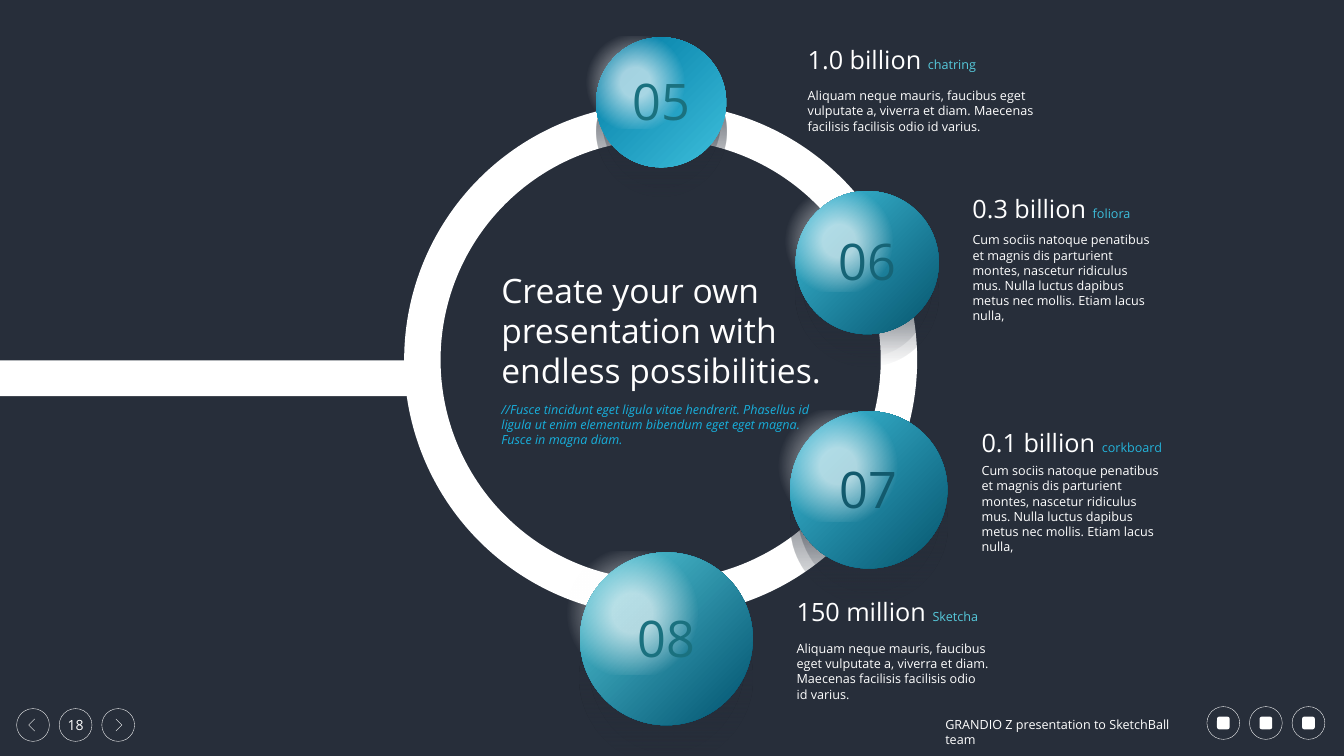
from lxml import etree
from pptx import Presentation
from pptx.dml.color import RGBColor
from pptx.enum import shapes, text
from pptx.oxml import ns
from pptx.util import Inches, Pt

FONT = "Open Sans"
NAVY = RGBColor(0x27, 0x2E, 0x3A)
WHITE = RGBColor(0xFF, 0xFF, 0xFF)
OCEAN = RGBColor(0x00, 0x7A, 0xA3)
SKY = RGBColor(0x3D, 0xBE, 0xDB)
AQUA = RGBColor(0x56, 0xCA, 0xDC)
AZURE = RGBColor(0x24, 0xB3, 0xDA)
BLUE = RGBColor(0x18, 0xAE, 0xDA)
DEEP = RGBColor(0x06, 0x54, 0x6D)
ABYSS = RGBColor(0x00, 0x51, 0x6D)
TEAL = RGBColor(0x1A, 0x71, 0x7F)
TEAL_MID = RGBColor(0x16, 0x64, 0x76)
TEAL_DARK = RGBColor(0x12, 0x5A, 0x6D)

OVAL = shapes.MSO_SHAPE.OVAL
ROUNDED = shapes.MSO_SHAPE.ROUNDED_RECTANGLE
TOP = text.MSO_ANCHOR.TOP
MIDDLE = text.MSO_ANCHOR.MIDDLE

LINEAR = '<a:lin ang="5400000" scaled="0"/>'
FROM_CORNER = '<a:path path="circle"><a:fillToRect r="100000" b="100000"/></a:path>'
FROM_CENTRE = ('<a:path path="circle"><a:fillToRect l="50000" t="50000" '
               'r="50000" b="50000"/></a:path>')
SHADE = [(0, NAVY, 17), (42, NAVY, 55), (100, NAVY, 0)]
SHINE = [(18, WHITE, 62), (59, WHITE, 0)]

RED_LATIN = "Aliquam neque mauris, faucibus eget vulputate a, viverra et diam. Maecenas facilisis facilisis odio id varius."
CUM_LATIN = "Cum sociis natoque penatibus et magnis dis parturient montes, nascetur ridiculus mus. Nulla luctus dapibus metus nec mollis. Etiam lacus nulla,"

ORBS = [
    ("05", 11.83, 0.74, 2.58, OCEAN, SKY, TEAL),
    ("06", 15.79, 3.79, 2.84, SKY, DEEP, TEAL_MID),
    ("07", 15.68, 8.16, 3.12, SKY, DEEP, TEAL_DARK),
    ("08", 11.51, 10.96, 3.43, AQUA, ABYSS, TEAL),
]
CALLOUTS = [
    (15.93, 0.83, 4.88, "1.0 billion ", "chatring", AQUA, RED_LATIN, 0.87, 1.01, TOP),
    (19.2, 3.78, 3.91, "0.3 billion ", "foliora", SKY, CUM_LATIN, 0.92, 1.62, MIDDLE),
    (19.38, 8.43, 3.91, "0.1 billion ", "corkboard", AZURE, CUM_LATIN, 0.85, 1.62, MIDDLE),
    (15.71, 11.79, 4.03, "150 million ", "Sketcha", AQUA, RED_LATIN, 0.88, 1.31, TOP),
]


def add_plain(page, kind, left, top, width, height, fill=None, outline=None):
    shape = page.shapes.add_shape(kind, Inches(left), Inches(top), Inches(width), Inches(height))
    shape.shadow.inherit = False
    if fill is None:
        shape.fill.background()
    else:
        shape.fill.solid()
        shape.fill.fore_color.rgb = fill
    if outline is None:
        shape.line.fill.background()
    else:
        shape.line.color.rgb = outline
        shape.line.width = Pt(0.5)
    return shape


def set_gradient(shape, stops, direction):
    marks = "".join(
        f'<a:gs pos="{place * 1000}"><a:srgbClr val="{colour}">'
        f'<a:alpha val="{opacity * 1000}"/></a:srgbClr></a:gs>'
        for place, colour, opacity in stops)
    gradient = etree.fromstring(
        f'<a:gradFill {ns.nsdecls("a")} rotWithShape="1">'
        f'<a:gsLst>{marks}</a:gsLst>{direction}</a:gradFill>')
    properties = shape._element.spPr
    properties.replace(properties.find(ns.qn("a:noFill")), gradient)


def add_text(page, left, top, width, height, spans, anchor=TOP, centred=False, italic=False):
    box = page.shapes.add_textbox(Inches(left), Inches(top), Inches(width), Inches(height))
    frame = box.text_frame
    frame.word_wrap = not centred
    frame.vertical_anchor = anchor
    para = frame.paragraphs[0]
    para.alignment = text.PP_ALIGN.CENTER if centred else text.PP_ALIGN.LEFT
    para.font.name = FONT
    para.font.italic = italic
    for words, size, colour in spans:
        span = para.add_run()
        span.text = words
        span.font.size = Pt(size)
        span.font.color.rgb = colour


def add_ring(page, left, top, size):
    add_plain(page, shapes.MSO_SHAPE.RECTANGLE, 0, top + 5.1, left + 0.53, 0.71, WHITE)
    ring = add_plain(page, shapes.MSO_SHAPE.DONUT, left, top, size, size, WHITE)
    ring.adjustments[0] = 0.071


def add_orb(page, number, left, top, size, inner, outer, ink):
    layers = [
        (OVAL, 0, 0.225, 1, 1, SHADE, LINEAR),
        (OVAL, 0.047, 0.105, 0.907, 1.05, SHADE, LINEAR),
        (OVAL, 0, 0, 1, 1, [(0, inner, 100), (100, outer, 100)], FROM_CORNER),
        (ROUNDED, -0.235, -0.005, 1.075, 0.709, SHINE, FROM_CENTRE),
    ]
    for kind, x, y, width, height, stops, direction in layers:
        layer = add_plain(page, kind, left + x * size, top + y * size, width * size, height * size)
        if kind == ROUNDED:
            layer.adjustments[0] = 0.5
        set_gradient(layer, stops, direction)
    add_text(page, left + size / 2 - 0.7, top + size / 2 - 0.69, 1.4, 1.31,
             [(number, 72, ink)], MIDDLE, centred=True)


def add_callout(page, left, top, width, amount, network, accent, body, drop, height, anchor):
    add_text(page, left, top, 4.1, 0.71, [(amount, 36, WHITE), (network, 18, accent)])
    add_text(page, left, top + drop, width, height, [(body, 18, WHITE)], anchor)


def add_message(page, left, top):
    add_text(page, left, top, 6.8, 2.52,
             [("Create your own presentation with endless possibilities.", 48, WHITE)])
    add_text(page, left, top + 2.63, 6.36, 1.01,
             [("//Fusce tincidunt eget ligula vitae hendrerit. Phasellus id ligula ut enim "
               "elementum bibendum eget eget magna. Fusce in magna diam.", 18, BLUE)], italic=True)


def add_circles(page, left, top):
    places = [left + 0.845 * index for index in range(3)]
    for place in places:
        add_plain(page, OVAL, place, top, 0.65, 0.65, outline=WHITE)
    return places


def add_chevron(page, centre, middle, reach):
    points = [(centre + reach * side, middle + rise)
              for side, rise in ((-1, -0.12), (1, 0), (-1, 0.12))]
    corners = [(Inches(x), Inches(y)) for x, y in points]
    builder = page.shapes.build_freeform(*corners[0])
    builder.add_line_segments(corners[1:], close=False)
    chevron = builder.convert_to_shape()
    chevron.shadow.inherit = False
    chevron.fill.background()
    chevron.line.color.rgb = WHITE
    chevron.line.width = Pt(0.5)


def add_navigation(page, left, top):
    back, current, forward = add_circles(page, left, top)
    add_chevron(page, back + 0.3, top + 0.325, -0.06)
    add_text(page, current, top, 0.65, 0.65, [("18", 20, WHITE)], MIDDLE, centred=True)
    add_chevron(page, forward + 0.34, top + 0.325, 0.06)


def add_social(page, left, top):
    add_text(page, left - 5.29, top + 0.15, 5.15, 0.4,
             [("GRANDIO Z presentation to SketchBall team", 18, WHITE)])
    for place in add_circles(page, left, top):
        add_plain(page, ROUNDED, place + 0.2, top + 0.2, 0.25, 0.25, WHITE)


def main():
    deck = Presentation()
    deck.slide_width, deck.slide_height = Inches(26.67), Inches(15)
    page = deck.slides.add_slide(deck.slide_layouts[6])
    page.background.fill.solid()
    page.background.fill.fore_color.rgb = NAVY
    add_navigation(page, 0.33, 14.06)
    add_social(page, 23.95, 14.02)
    add_ring(page, 8.02, 2.05, 10.18)
    for orb in ORBS:
        add_orb(page, *orb)
    for callout in CALLOUTS:
        add_callout(page, *callout)
    add_message(page, 9.85, 5.3)
    deck.save("out.pptx")


if __name__ == "__main__":
    main()
